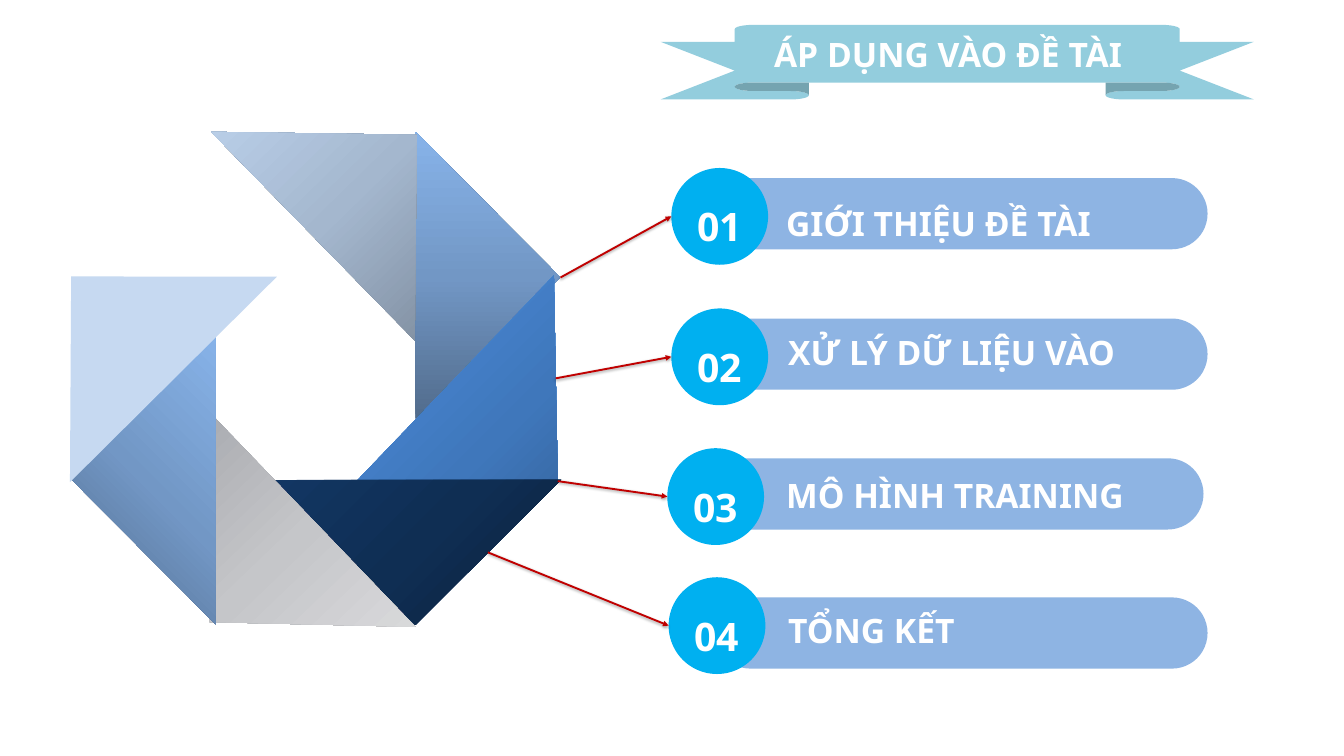
from lxml import etree
from pptx import Presentation
from pptx import util as u
from pptx.dml.color import RGBColor
from pptx.enum import shapes, text
from pptx.oxml import parse_xml
from pptx.oxml.ns import nsdecls, qn

Inches = u.Inches
COLORS = {
    "white": "FFFFFF", "bar": "8EB4E3", "circle": "00B0F0", "ribbon": "93CDDD",
    "arrow": "C00000", "pale": "C6D9F1",
}
STEEL = ["506A8A", "7297C5", "87B3E9"]
BLUE = ["2D5484", "3F77BB", "4B8DDE"]
NAVY = ["0B203B", "0F2E53", "123663"]
SILVER = ["9EA0A6", "C5C6C9", "E3E3E4"]
SLATE = ["748191", "A4B7CE", "C3D9F4"]
CORNER = ('<a:path path="circle"><a:fillToRect l="100000" t="100000"/></a:path>')


def add_plain(container, kind, left, top, width, height, color=None):
    """Add a preset shape without line or shadow; leave the fill open if no color."""
    shape = container.add_shape(
        kind, Inches(left), Inches(top), Inches(width), Inches(height))
    shape.shadow.inherit = False
    shape.line.fill.background()
    if color:
        shape.fill.solid()
        shape.fill.fore_color.rgb = RGBColor.from_string(color)
    return shape


def write(shape, words, size, spacing):
    paragraph = shape.text_frame.paragraphs[0]
    paragraph.text = words
    paragraph.line_spacing = spacing
    font = paragraph.font
    font.name, font.size, font.bold = "Noto Sans", u.Pt(size), True
    font.color.rgb = RGBColor.from_string(COLORS["white"])
    shape.text_frame.word_wrap = True
    return paragraph


presentation = Presentation()
presentation.slide_width, presentation.slide_height = Inches(20), Inches(11.25)
slide = presentation.slides.add_slide(presentation.slide_layouts[6])

# Folded ring: left, top, rotation, gradient colors, angle (None is from the corner)
blades = [
    (5.09, 3.05, 90, STEEL, 180),
    (5.35, 5.33, 133.8, BLUE, None),
    (4.01, 7.14, 180, NAVY, None),
    (1.73, 7.43, 226.2, SILVER, 180),
    (-0.04, 6.04, 270, STEEL, 45),
    (3.26, 1.68, 45.7, SLATE, 180),
    (-0.35, 3.8, 315.2, None, None),
]
for left, top, rotation, gradient, angle in blades:
    blade = add_plain(slide.shapes, shapes.MSO_SHAPE.FLOWCHART_EXTRACT,
                      left, top, 4.34, 2.16, None if gradient else COLORS["pale"])
    blade.rotation = rotation
    if gradient:
        stops = "".join(
            f'<a:gs pos="{index * 50000}"><a:srgbClr val="{color}"/></a:gs>'
            for index, color in enumerate(gradient))
        direction = CORNER if angle is None else f'<a:lin ang="{angle * 60000}" scaled="0"/>'
        blade._element.spPr.find(qn("a:prstGeom")).addnext(parse_xml(
            f'<a:gradFill {nsdecls("a")} rotWithShape="1">'
            f'<a:gsLst>{stops}</a:gsLst>{direction}</a:gradFill>'))

# Agenda: label, bar left and top, circle left and top, label left and top
agenda = [
    ("GIỚI THIỆU ĐỀ TÀI", 10.64, 2.65, 9.99, 2.5, 11.6, 2.89),
    ("XỬ LÝ DỮ LIỆU VÀO", 10.64, 4.74, 9.99, 4.59, 11.63, 4.81),
    ("MÔ HÌNH TRAINING", 10.58, 6.82, 9.93, 6.67, 11.6, 6.94),
    ("TỔNG KẾT", 10.64, 8.89, 9.95, 8.59, 11.63, 8.94),
]
for number, item in enumerate(agenda, 1):
    label, bar_left, bar_top, circle_left, circle_top, label_left, label_top = item
    group = slide.shapes.add_group_shape().shapes
    bar = add_plain(group, shapes.MSO_SHAPE.ROUNDED_RECTANGLE,
                    bar_left, bar_top, 7.33, 1.06, COLORS["bar"])
    bar.adjustments[0] = 0.5
    circle = add_plain(group, shapes.MSO_SHAPE.OVAL,
                       circle_left, circle_top, 1.44, 1.44, COLORS["circle"])
    circle.text_frame.vertical_anchor = text.MSO_ANCHOR.MIDDLE
    write(circle, f"{number:02}", 42, 1.42).alignment = text.PP_ALIGN.CENTER
    box = group.add_textbox(
        Inches(label_left), Inches(label_top), Inches(5.86), Inches(0.81))
    write(box, label, 36, 1.14)

# Title ribbon
ribbon = add_plain(slide.shapes, shapes.MSO_SHAPE.UP_RIBBON,
                   9.83, 0.37, 8.83, 1.11, COLORS["ribbon"])
ribbon.adjustments[0], ribbon.adjustments[1] = 0.227, 0.75
title = slide.shapes.add_textbox(Inches(11.42), Inches(0.37), Inches(5.86), Inches(0.81))
write(title, "ÁP DỤNG VÀO ĐỀ TÀI", 36, 1.14)

# Arrows from the ring to the left edge of each circle
arrow_starts = [(8.34, 4.13), (8.27, 5.63), (8.3, 7.16), (7.26, 8.22)]
for (start_x, start_y), item in zip(arrow_starts, agenda):
    circle_left, circle_top = item[3:5]
    arrow = slide.shapes.add_connector(
        shapes.MSO_CONNECTOR.STRAIGHT, Inches(start_x), Inches(start_y),
        Inches(circle_left), Inches(circle_top + 0.72))
    arrow.line.color.rgb = RGBColor.from_string(COLORS["arrow"])
    arrow.line.width = u.Pt(2)
    etree.SubElement(arrow.line._get_or_add_ln(), qn("a:tailEnd"), type="triangle")
    arrow._element.spPr.append(parse_xml(
        f'<a:effectLst {nsdecls("a")}>'
        '<a:outerShdw blurRad="40000" dist="20000" dir="5400000" rotWithShape="0">'
        '<a:srgbClr val="000000"><a:alpha val="38000"/></a:srgbClr>'
        '</a:outerShdw></a:effectLst>'))

presentation.save("out.pptx")
